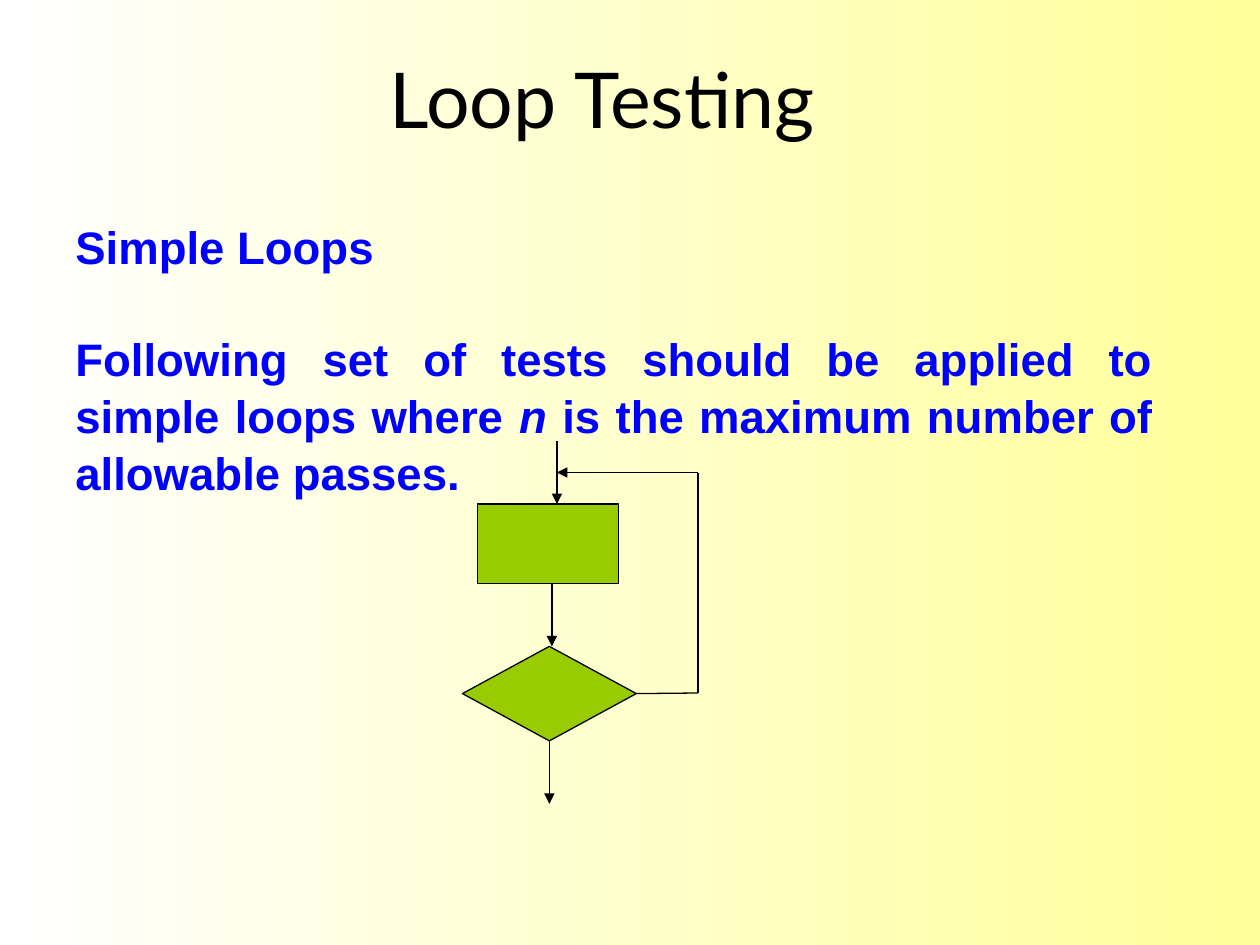
from dataclasses import dataclass
from typing import Optional

from lxml.etree import SubElement
from pptx import Presentation
from pptx.dml.color import RGBColor
from pptx.enum.shapes import MSO_CONNECTOR, MSO_SHAPE
from pptx.enum.text import MSO_ANCHOR, PP_ALIGN
from pptx.oxml.ns import qn
from pptx.util import Inches, Pt

COLORS = {"black": "000000", "blue": "0000FF", "green": "99CC00",
          "yellow": "FFFF99", "white": "FFFFFF"}
BOTTOM, RIGHT = 2, 3


@dataclass
class Node:
    kind: MSO_SHAPE
    left: float
    top: float
    width: float
    height: float


@dataclass
class Flow:
    start: tuple[float, float]
    end: tuple[float, float]
    arrow: bool = True
    decision_side: Optional[int] = None


BODY = Node(MSO_SHAPE.RECTANGLE, 3.79, 4, 1.12, 0.63)
DECISION = Node(MSO_SHAPE.FLOWCHART_DECISION, 3.67, 5.13, 1.38, 0.75)
ENTRY_X, LOOP_X = 4.42, 5.54
LOOP_TOP, LOOP_BOTTOM = 3.75, 5.5
FLOWS = [
    Flow((4.38, 4.63), (4.38, 5.13)),
    Flow((ENTRY_X, 3.5), (ENTRY_X, 4)),
    Flow((4.36, 5.88), (4.36, 6.38), decision_side=BOTTOM),
    Flow((5.05, LOOP_BOTTOM), (LOOP_X, LOOP_BOTTOM), arrow=False, decision_side=RIGHT),
    Flow((LOOP_X, LOOP_BOTTOM), (LOOP_X, LOOP_TOP), arrow=False),
    Flow((LOOP_X, LOOP_TOP), (ENTRY_X, LOOP_TOP)),
]


def color(name: str) -> RGBColor:
    return RGBColor.from_string(COLORS[name])


def place(shape, left: float, top: float, width: float, height: float) -> None:
    shape.left, shape.top = Inches(left), Inches(top)
    shape.width, shape.height = Inches(width), Inches(height)


def set_background(slide) -> None:
    fill = slide.background.fill
    fill.gradient()
    fill.gradient_angle = 180
    for stop, name in zip(fill.gradient_stops, ("yellow", "white")):
        stop.color.rgb = color(name)


def add_run(paragraph, text: str, font: str, size: int, color_name: str,
            bold: bool = False, italic: bool = False) -> None:
    run = paragraph.add_run()
    run.text = text
    run.font.name, run.font.size = font, Pt(size)
    run.font.bold, run.font.italic = bold, italic
    run.font.color.rgb = color(color_name)


def add_title(slide) -> None:
    title = slide.shapes.title
    place(title, 0.42, 0.33, 8.72, 0.89)
    title.text_frame.vertical_anchor = MSO_ANCHOR.MIDDLE
    paragraph = title.text_frame.paragraphs[0]
    paragraph.alignment = PP_ALIGN.CENTER
    add_run(paragraph, "Loop Testing", "Lato", 44, "black")


def add_description(slide) -> None:
    box = slide.shapes.add_textbox(Inches(0.5), Inches(1.67), Inches(8.75), Inches(2.27))
    frame = box.text_frame
    frame.word_wrap = True
    heading, body = frame.paragraphs[0], frame.add_paragraph()
    heading.space_after = Pt(31)
    for paragraph in (heading, body):
        paragraph.alignment = PP_ALIGN.JUSTIFY
        paragraph.line_spacing = 1.05
    for paragraph, text, italic in (
        (heading, "Simple Loops", False),
        (body, "Following set of tests should be applied to simple loops where ", False),
        (body, "n ", True),
        (body, "is the maximum number of allowable passes.", False),
    ):
        add_run(paragraph, text, "Arial", 26, "blue", bold=True, italic=italic)


def add_node(slide, node: Node):
    shape = slide.shapes.add_shape(node.kind, 0, 0, 0, 0)
    place(shape, node.left, node.top, node.width, node.height)
    shape.shadow.inherit = False
    shape.fill.solid()
    shape.fill.fore_color.rgb = color("green")
    shape.line.color.rgb = color("black")
    shape.line.width = Pt(0.75)
    return shape


def add_flow(slide, flow: Flow, decision) -> None:
    points = [Inches(value) for value in flow.start + flow.end]
    connector = slide.shapes.add_connector(MSO_CONNECTOR.STRAIGHT, *points)
    if flow.decision_side is not None:
        connector.begin_connect(decision, flow.decision_side)
    connector.line.color.rgb = color("black")
    connector.line.width = Pt(0.75)
    if flow.arrow:
        SubElement(connector.line._get_or_add_ln(), qn("a:tailEnd"), type="triangle")
    SubElement(connector._element.spPr, qn("a:effectLst"))


def main() -> None:
    presentation = Presentation()
    presentation.slide_width, presentation.slide_height = Inches(10), Inches(7.5)
    slide = presentation.slides.add_slide(presentation.slide_layouts[5])
    set_background(slide)
    add_title(slide)
    add_description(slide)
    add_node(slide, BODY)
    decision = add_node(slide, DECISION)
    for flow in FLOWS:
        add_flow(slide, flow, decision)
    presentation.save("out.pptx")


if __name__ == "__main__":
    main()
